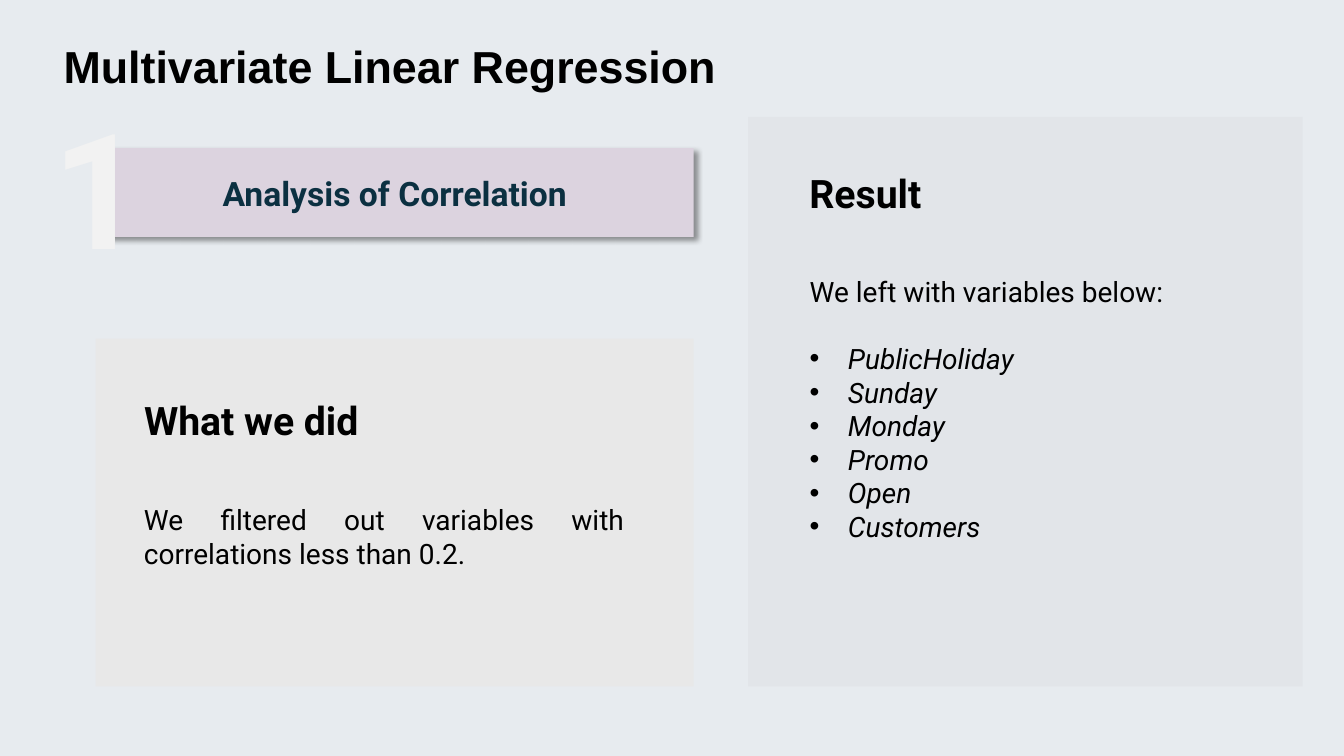
from lxml.etree import SubElement
from pptx import Presentation
from pptx.dml.color import RGBColor
from pptx.enum.shapes import MSO_SHAPE
from pptx.enum.text import MSO_ANCHOR, MSO_AUTO_SIZE, PP_ALIGN
from pptx.oxml import parse_xml
from pptx.oxml.ns import nsdecls, qn
from pptx.util import Inches, Pt

VARIABLES = ["PublicHoliday", "Sunday", "Monday", "Promo", "Open", "Customers"]


def set_color(color_format, hex_color):
    """Apply a hex colour to a fill foreground or a font colour."""
    color_format.rgb = RGBColor.from_string(hex_color)


def write_paragraph(frame, text, size=20, font="Roboto", color="000000", bold=False,
                    italic=False, align=PP_ALIGN.JUSTIFY, before=0, bullet=None):
    """Fill the first empty paragraph or add one, and return its run."""
    first = frame.paragraphs[0]
    paragraph = frame.add_paragraph() if first.runs else first
    properties = paragraph._p.get_or_add_pPr()
    indent = Inches(0.38) if bullet else 0
    properties.set("marL", str(indent))
    properties.set("indent", str(-indent))
    if bullet:
        SubElement(properties, qn("a:buFont"), typeface="Arial")
        SubElement(properties, qn("a:buChar"), char=bullet)
    else:
        SubElement(properties, qn("a:buNone"))
    paragraph.alignment = align
    paragraph.space_before = Pt(before)
    run = paragraph.add_run()
    run.text = text
    run.font.name = font
    run.font.size = Pt(size)
    run.font.bold = bold
    run.font.italic = italic
    set_color(run.font.color, color)
    return run


def add_panel(slide, box, color, kind=MSO_SHAPE.RECTANGLE):
    """Add a flat filled shape without an outline."""
    shape = slide.shapes.add_shape(kind, *map(Inches, box))
    shape.shadow.inherit = False
    shape.fill.solid()
    set_color(shape.fill.fore_color, color)
    shape.line.fill.background()
    return shape


def add_text(slide, box, text, wrap=True, **text_format):
    """Add a text box holding one paragraph and return its run."""
    frame = slide.shapes.add_textbox(*map(Inches, box)).text_frame
    frame.word_wrap = wrap
    frame.auto_size = MSO_AUTO_SIZE.SHAPE_TO_FIT_TEXT
    return write_paragraph(frame, text, **text_format)


def place_placeholder(placeholder, box):
    """Move a placeholder to the front and to its box, and return its text frame."""
    placeholder.left, placeholder.top, placeholder.width, placeholder.height = map(Inches, box)
    placeholder.element.getparent().append(placeholder.element)
    frame = placeholder.text_frame
    frame.word_wrap = True
    frame.auto_size = MSO_AUTO_SIZE.SHAPE_TO_FIT_TEXT
    frame.vertical_anchor = MSO_ANCHOR.TOP
    return frame


def set_transparency(shape, opacity):
    """Set the opacity percentage of a solid fill."""
    color = shape.element.spPr.find(qn("a:solidFill"))[0]
    SubElement(color, qn("a:alpha"), val=str(opacity * 1000))


def add_shadow(shape):
    """Give a shape a soft shadow towards the lower right."""
    effects = shape.element.spPr.find(qn("a:effectLst"))
    effects.append(parse_xml(
        f'<a:outerShdw {nsdecls("a")} blurRad="{Pt(4)}" dist="{Pt(3)}" dir="2700000" '
        'algn="tl" rotWithShape="0"><a:srgbClr val="000000">'
        '<a:alpha val="40000"/></a:srgbClr></a:outerShdw>'))


def outline_text(run, color, width):
    """Draw a thin outline around the letters of a run."""
    run.font._element.insert(0, parse_xml(
        f'<a:ln {nsdecls("a")} w="{Pt(width)}"><a:solidFill>'
        f'<a:srgbClr val="{color}"/></a:solidFill></a:ln>'))


def add_banner(slide):
    """Add the step banner with its large number."""
    banner = add_panel(slide, (0.95, 1.47, 5.93, 0.88), "DCD3DF", MSO_SHAPE.ROUNDED_RECTANGLE)
    banner.adjustments[0] = 0
    add_shadow(banner)
    banner.text_frame.vertical_anchor = MSO_ANCHOR.MIDDLE
    write_paragraph(banner.text_frame, "Analysis of Correlation", size=24, color="0B3041",
                    bold=True, align=PP_ALIGN.CENTER)
    number = add_text(slide, (0.42, 0.83, 1.07, 2.04), "1", wrap=False, size=115,
                      color="F2F2F2", bold=True, align=PP_ALIGN.LEFT)
    outline_text(number, "DCD3DF", 0.25)


def main():
    """Build the slide and save it."""
    presentation = Presentation()
    presentation.slide_width, presentation.slide_height = Inches(13.33), Inches(7.5)
    slide = presentation.slides.add_slide(presentation.slide_layouts[1])
    title, body = slide.placeholders

    backdrop = add_panel(slide, (0, 0, 13.33, 7.5), "163E64")
    set_transparency(backdrop, 10)
    title_frame = place_placeholder(title, (0.53, 0.33, 10.18, 0.64))
    write_paragraph(title_frame, "Multivariate Linear Regression", size=32, font="Arial",
                    bold=True, align=PP_ALIGN.LEFT)
    add_banner(slide)

    add_panel(slide, (0.95, 3.36, 5.93, 3.45), "E8E8E8")
    add_text(slide, (1.33, 3.88, 2.58, 0.57), "What we did", size=28, bold=True)
    add_text(slide, (1.33, 4.94, 4.96, 0.77),
             "We filtered out variables with correlations less than 0.2.")

    add_panel(slide, (7.42, 1.16, 5.5, 5.65), "E2E5E9")
    add_text(slide, (7.93, 1.63, 2.58, 0.57), "Result", size=28, bold=True)
    result_frame = place_placeholder(body, (7.93, 2.67, 4.67, 2.79))
    write_paragraph(result_frame, "We left with variables below:")
    for index, variable in enumerate(VARIABLES):
        write_paragraph(result_frame, variable, italic=True, bullet="•",
                        before=0 if index else 24)

    presentation.save("out.pptx")


if __name__ == "__main__":
    main()
